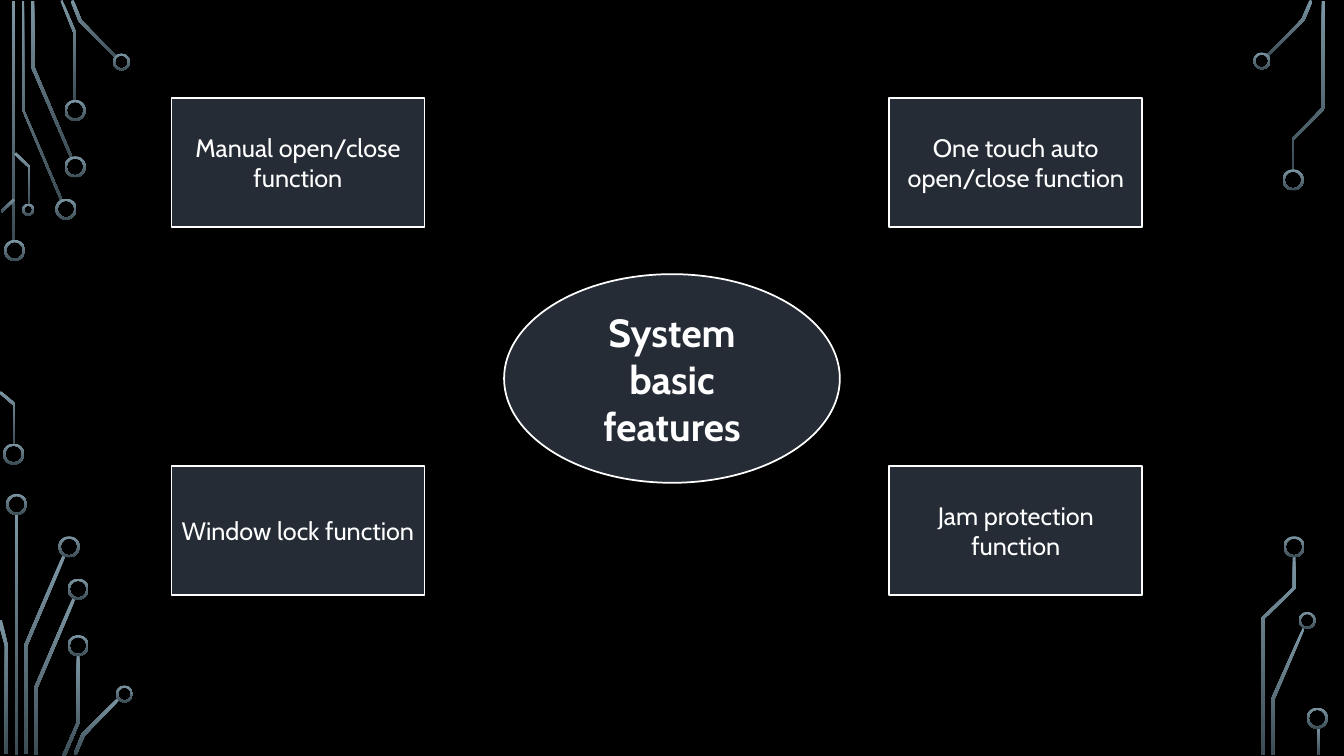
from pptx import Presentation
from pptx.dml.color import RGBColor
from pptx.enum import shapes, text
from pptx.util import Pt

# Content: lengths in px, 100 px to the inch
PX = 9144
SLIDE_W, SLIDE_H = 1333, 750

THEME = {
    "background": "000000", "panel": "252C36", "ink": "FFFFFF",
    "trace_top": "7C96A3", "trace_bottom": "3B4C54",
    "font": "Cabin", "hub_size": 28, "feature_size": 18, "outline": 1.25,
}

HUB = ("System basic features", (500, 272, 333, 207))
FEATURES = [
    ["Manual open/close function", "One touch auto open/close function"],
    ["Window lock function", "Jam protection function"],
]
FEATURE_LEFT, FEATURE_TOP = 170, 97
FEATURE_W, FEATURE_H = 251, 128
COLUMN_STEP, ROW_STEP = 712, 365

# Circuit decoration: straight bars, then ring positions by diameter, then bent traces
BARS = [(12, 1, 3, 239), (15, 510, 3, 239), (1306, 721, 3, 28)]
RING_WALL = 2
RINGS = {
    21: [(4, 238), (3, 440), (55, 197), (64, 155), (64, 99), (6, 490), (58, 532),
         (67, 574), (67, 630), (1272, 168), (1273, 532), (1296, 702)],
    17: [(112, 53), (115, 680), (1243, 52), (1288, 607)],
    12: [(22, 202)],
}
TRACES = [
    # top left
    [(60, 199), (22, 109), (22, 1), (24, 1), (24, 109), (62, 198)],
    [(70, 157), (31, 67), (31, 1), (34, 1), (34, 66), (72, 156)],
    [(76, 100), (73, 100), (73, 33), (60, 1), (62, 0), (76, 33)],
    [(115, 58), (78, 21), (70, 1), (73, 0), (81, 20), (116, 56)],
    [(2, 211), (1, 209), (13, 197), (15, 199)],
    [(30, 203), (28, 203), (28, 166), (14, 153), (16, 151), (30, 165)],
    # bottom left
    [(15, 441), (13, 441), (13, 402), (-1, 390), (1, 388), (15, 400)],
    [(27, 748), (24, 748), (24, 640), (62, 551), (65, 552), (27, 641)],
    [(8, 748), (5, 748), (5, 641), (-2, 616), (2, 615), (8, 641)],
    [(37, 749), (34, 749), (34, 682), (72, 593), (75, 594), (37, 683)],
    [(65, 750), (62, 749), (76, 717), (76, 650), (79, 650), (79, 717)],
    [(76, 749), (73, 748), (81, 728), (117, 692), (119, 694), (84, 730)],
    # top right
    [(1258, 56), (1256, 55), (1291, 19), (1299, 0), (1302, 1), (1294, 20)],
    [(1283, 169), (1281, 169), (1281, 138), (1311, 107), (1311, 1),
     (1314, 1), (1314, 108), (1283, 139)],
    # bottom right
    [(1264, 749), (1261, 749), (1261, 693), (1292, 623), (1294, 624), (1264, 694)],
    [(1254, 749), (1251, 749), (1251, 613), (1282, 583), (1282, 552),
     (1285, 552), (1285, 584), (1254, 614)],
]


def color(name):
    return RGBColor.from_string(THEME[name])


def place(parent, preset, box):
    return parent.add_shape(preset, *(length * PX for length in box))


def paint_circuit(part):
    part.shadow.inherit = False
    part.line.fill.background()
    part.fill.gradient()
    part.fill.gradient_angle = 270
    for stop, name in zip(part.fill.gradient_stops, ("trace_top", "trace_bottom")):
        stop.color.rgb = color(name)


def add_panel(slide, preset, wording, box, font_format):
    panel = place(slide.shapes, preset, box)
    panel.shadow.inherit = False
    panel.fill.solid()
    panel.fill.fore_color.rgb = color("panel")
    panel.line.color.rgb = color("ink")
    panel.line.width = Pt(THEME["outline"])
    frame = panel.text_frame
    frame.word_wrap = True
    frame.vertical_anchor = text.MSO_ANCHOR.MIDDLE
    paragraph = frame.paragraphs[0]
    paragraph.alignment = text.PP_ALIGN.CENTER
    wording_run = paragraph.add_run()
    wording_run.text = wording
    wording_run.font.color.rgb = color("ink")
    for attribute, value in font_format.items():
        setattr(wording_run.font, attribute, value)


def add_circuit(slide):
    circuit = slide.shapes.add_group_shape().shapes
    for box in BARS:
        paint_circuit(place(circuit, shapes.MSO_SHAPE.RECTANGLE, box))
    for outline in TRACES:
        builder = circuit.build_freeform(*outline[0], scale=PX)
        builder.add_line_segments(outline[1:], close=True)
        paint_circuit(builder.convert_to_shape())
    for diameter, corners in RINGS.items():
        for left, top in corners:
            ring = place(circuit, shapes.MSO_SHAPE.DONUT, (left, top, diameter, diameter))
            ring.adjustments[0] = round(RING_WALL / diameter, 2)
            paint_circuit(ring)


def main():
    deck = Presentation()
    deck.slide_width, deck.slide_height = SLIDE_W * PX, SLIDE_H * PX
    slide = deck.slides.add_slide(deck.slide_layouts.get_by_name("Blank"))
    slide.background.fill.solid()
    slide.background.fill.fore_color.rgb = color("background")

    add_circuit(slide)

    # Central hub
    hub_font = {"name": THEME["font"], "size": Pt(THEME["hub_size"]), "bold": True}
    add_panel(slide, shapes.MSO_SHAPE.OVAL, *HUB, hub_font)

    # Feature boxes around the hub
    feature_font = {"name": THEME["font"], "size": Pt(THEME["feature_size"])}
    for row, features in enumerate(FEATURES):
        for column, feature in enumerate(features):
            box = (FEATURE_LEFT + column * COLUMN_STEP, FEATURE_TOP + row * ROW_STEP,
                   FEATURE_W, FEATURE_H)
            add_panel(slide, shapes.MSO_SHAPE.RECTANGLE, feature, box, feature_font)

    deck.save("out.pptx")


if __name__ == "__main__":
    main()
